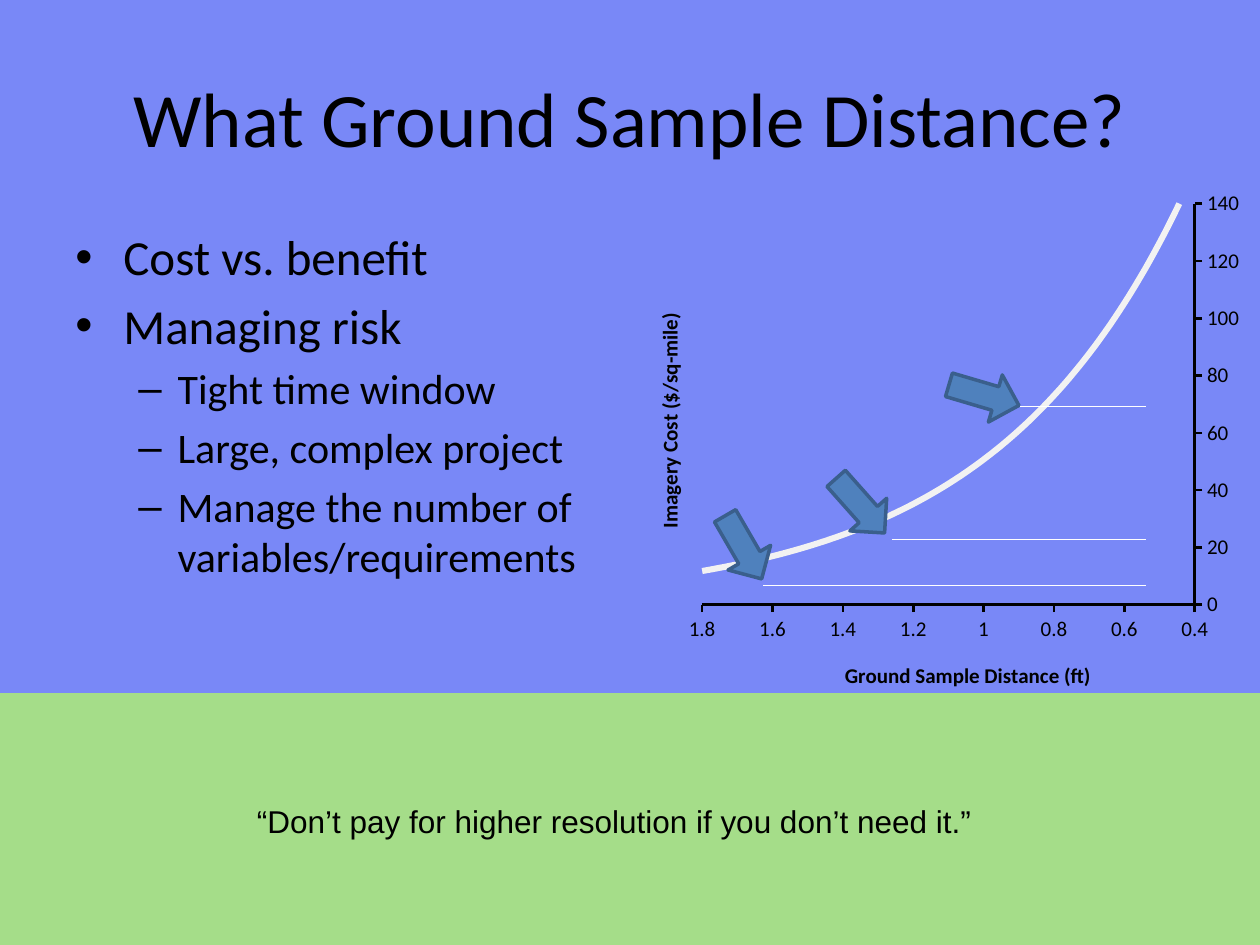
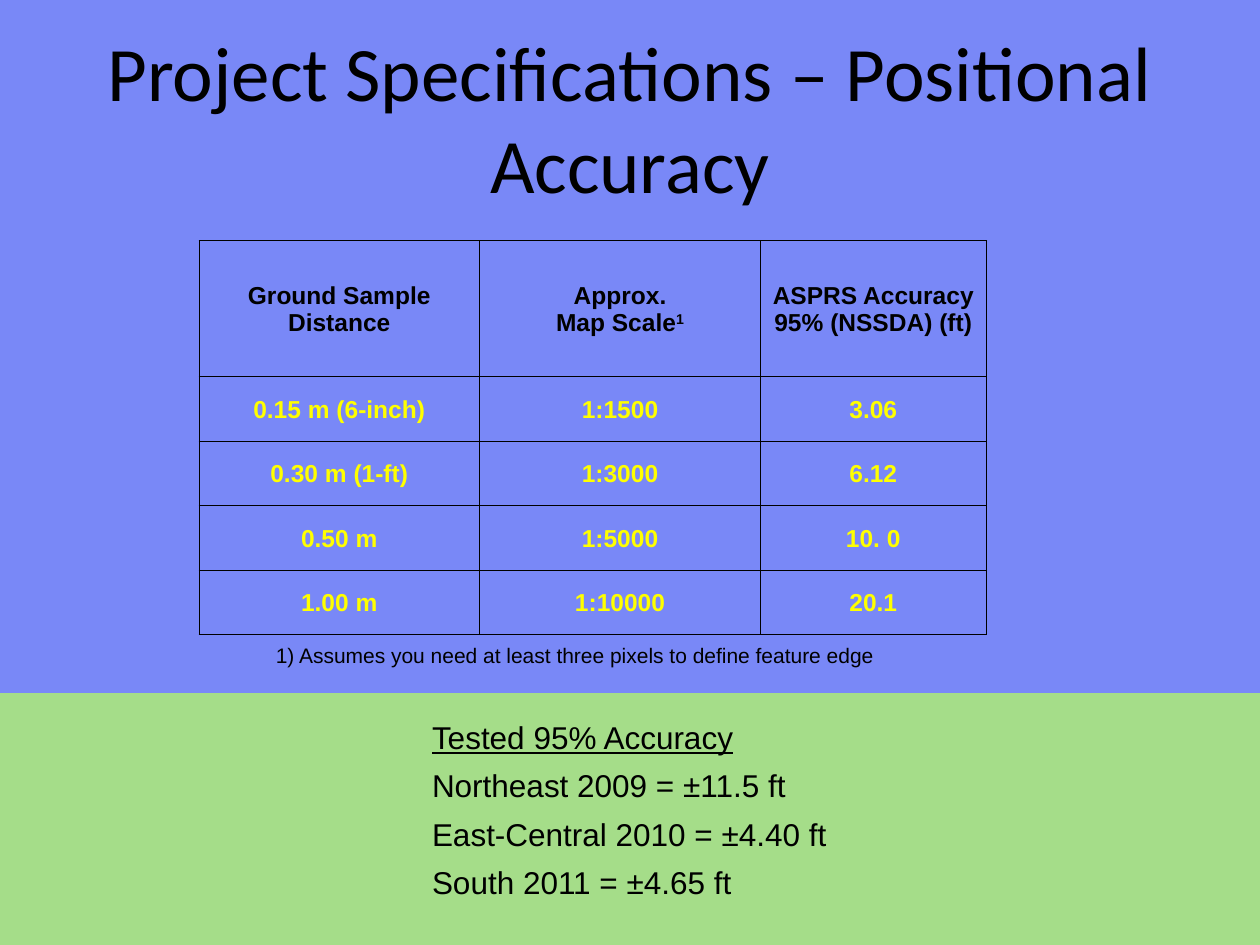
from lxml import etree
from pptx import Presentation
from pptx.chart.data import XyChartData
from pptx.dml.color import RGBColor
from pptx.enum.chart import XL_AXIS_CROSSES, XL_CHART_TYPE, XL_MARKER_STYLE, XL_TICK_MARK
from pptx.enum.shapes import MSO_CONNECTOR, MSO_SHAPE
from pptx.enum.text import MSO_ANCHOR, PP_ALIGN
from pptx.oxml import parse_xml
from pptx.oxml.ns import nsdecls, qn
from pptx.util import Cm, Pt

CENTER, LEFT = PP_ALIGN.CENTER, PP_ALIGN.LEFT
TOP, MIDDLE = MSO_ANCHOR.TOP, MSO_ANCHOR.MIDDLE
RECTANGLE, RIGHT_ARROW = MSO_SHAPE.RECTANGLE, MSO_SHAPE.RIGHT_ARROW
STRAIGHT = MSO_CONNECTOR.STRAIGHT
SCATTER, NO_MARKER = XL_CHART_TYPE.XY_SCATTER, XL_MARKER_STYLE.NONE
AXIS_MINIMUM = XL_AXIS_CROSSES.MINIMUM
TICK_OUTSIDE, TICK_NONE = XL_TICK_MARK.OUTSIDE, XL_TICK_MARK.NONE

BLACK = RGBColor(0x00, 0x00, 0x00)
WHITE = RGBColor(0xFF, 0xFF, 0xFF)
YELLOW = RGBColor(0xFF, 0xFF, 0x00)
SKY_BLUE = RGBColor(0x79, 0x88, 0xF7)
GRASS_GREEN = RGBColor(0xA5, 0xDD, 0x89)
ARROW_BLUE = RGBColor(0x4F, 0x81, 0xBD)
ARROW_EDGE = RGBColor(0x3A, 0x5F, 0x8C)
CURVE_GRAY = RGBColor(0xF2, 0xF2, 0xF2)
HEADING_FONT, PLAIN_FONT = "Calibri", "Arial"


def add_text(paragraph, text, *, size, font=PLAIN_FONT, color=BLACK, bold=False,
             underline=False, align=LEFT, superscript=False):
    paragraph.alignment = align
    for number, line in enumerate(text.split("\n")):
        if number:
            paragraph.add_line_break()
        run = paragraph.add_run()
        run.text = line
        run.font.size = Pt(size)
        run.font.name = font
        run.font.color.rgb = color
        run.font.bold = bold
        run.font.underline = underline
        if superscript:
            run._r.get_or_add_rPr().set("baseline", "30000")


def add_text_area(slide, left, top, width, height, anchor=TOP, wrap=True):
    frame = slide.shapes.add_textbox(Cm(left), Cm(top), Cm(width), Cm(height)).text_frame
    frame.word_wrap = wrap
    frame.vertical_anchor = anchor
    return frame


prs = Presentation()
prs.slide_width, prs.slide_height = Cm(25.4), Cm(19.05)

# Shared bands and titles
slides = []
for heading in ("What Ground Sample Distance?",
                "Project Specifications – Positional Accuracy"):
    slide = prs.slides.add_slide(prs.slide_layouts[6])
    for top, height, color in ((9.33, 9.72, GRASS_GREEN), (0, 13.97, SKY_BLUE)):
        band = slide.shapes.add_shape(RECTANGLE, 0, Cm(top), prs.slide_width, Cm(height))
        band.shadow.inherit = False
        band.fill.solid()
        band.fill.fore_color.rgb = color
        band.line.fill.background()
    title = add_text_area(slide, 1.27, 0.76, 22.86, 3.18, anchor=MIDDLE)
    add_text(title.paragraphs[0], heading, size=44, font=HEADING_FONT, align=CENTER)
    slides.append(slide)
distance_slide, accuracy_slide = slides

# Slide 1: considerations as a two-level list
considerations = [
    (0, "Cost vs. benefit"),
    (0, "Managing risk"),
    (1, "Tight time window"),
    (1, "Large, complex project"),
    (1, "Manage the number of variables/requirements"),
]
level_formats = [(28, "•", 0.97, -0.97), (24, "–", 2.06, -0.79)]
consideration_list = add_text_area(distance_slide, 1.27, 4.45, 11.23, 12.57)
for number, (level, consideration) in enumerate(considerations):
    size, bullet, margin, indent = level_formats[level]
    paragraph = consideration_list.add_paragraph() if number else consideration_list.paragraphs[0]
    properties = paragraph._p.get_or_add_pPr()
    properties.set("marL", str(Cm(margin)))
    properties.set("indent", str(Cm(indent)))
    etree.SubElement(properties, qn("a:buFont")).set("typeface", "Arial")
    etree.SubElement(properties, qn("a:buChar")).set("char", bullet)
    paragraph.level = level
    if number:
        paragraph.space_before = Pt(size * 0.2)
    add_text(paragraph, consideration, size=size, font=HEADING_FONT)

# Slide 1: quote
quote = add_text_area(distance_slide, 4.52, 16.05, 15.72, 1.02)
add_text(quote.paragraphs[0], "“Don’t pay for higher resolution if you don’t need it.”",
         size=18, align=CENTER)

# Slide 1: cost curve
cost_data = XyChartData()
cost_series = cost_data.add_series("Series 1")
for distance, cost in ((1.58, 18), (1, 48), (0.5, 130)):
    cost_series.add_data_point(distance, cost)
cost_chart = distance_slide.shapes.add_chart(
    SCATTER, Cm(12.5), Cm(3.68), Cm(12.73), Cm(10.64), cost_data).chart
cost_chart.has_legend = False
cost_chart.has_title = False
cost_chart.font.size = Pt(12)
cost_chart.font.name = HEADING_FONT
cost_chart.font.color.rgb = BLACK
cost_plot = cost_chart.plots[0]
cost_plot.vary_by_categories = False
cost_points = cost_plot.series[0]
cost_points.smooth = False
cost_points.marker.style = NO_MARKER
cost_points.format.line.fill.background()

# Exponential trend line, extended to both ends of the distance axis
trend = parse_xml(
    f'<c:trendline {nsdecls("c", "a")}><c:spPr><a:ln w="{Pt(3.5)}"><a:solidFill>'
    f'<a:srgbClr val="{CURVE_GRAY}"/></a:solidFill></a:ln></c:spPr>'
    '<c:trendlineType val="exp"/><c:forward val="0.22"/><c:backward val="0.1"/>'
    '<c:dispRSqr val="0"/><c:dispEq val="0"/></c:trendline>')
cost_points._element.find(qn("c:xVal")).addprevious(trend)

distance_axis, cost_axis = cost_chart.category_axis, cost_chart.value_axis
for axis, name, low, high, step in (
        (distance_axis, "Ground Sample Distance (ft)", 0.4, 1.8, 0.2),
        (cost_axis, "Imagery Cost ($/sq-mile)", 0, 140, 20)):
    axis.minimum_scale, axis.maximum_scale, axis.major_unit = low, high, step
    axis.has_major_gridlines = False
    axis.major_tick_mark, axis.minor_tick_mark = TICK_OUTSIDE, TICK_NONE
    axis.format.line.color.rgb = BLACK
    axis.format.line.width = Pt(1.5)
    add_text(axis.axis_title.text_frame.paragraphs[0], name, size=12,
             font=HEADING_FONT, bold=True, align=CENTER)
distance_axis.reverse_order = True
distance_axis.crosses = AXIS_MINIMUM
cost_rotation = cost_axis.axis_title.text_frame._txBody.find(qn("a:bodyPr"))
cost_rotation.set("rot", "-5400000")
cost_rotation.set("vert", "horz")

# Fixed places for the plot and the axis titles, as shares of the chart
plot_area = cost_chart._chartSpace.find(".//" + qn("c:plotArea"))
for part, position, settings in (
        (plot_area, 0, dict(layoutTarget="inner", xMode="edge", yMode="edge",
                            x=0.13, y=0.04, w=0.78, h=0.76)),
        (distance_axis.axis_title._element, 1, dict(xMode="edge", yMode="edge", x=0.35, y=0.9)),
        (cost_axis.axis_title._element, 1, dict(xMode="edge", yMode="edge", x=0.05, y=0.24))):
    for automatic in part.findall(qn("c:layout")):
        part.remove(automatic)
    entries = "".join(f'<c:{key} val="{value}"/>' for key, value in settings.items())
    part.insert(position, parse_xml(
        f'<c:layout {nsdecls("c")}><c:manualLayout>{entries}</c:manualLayout></c:layout>'))

# Slide 1: arrows to the curve and level lines
for left, top, angle in ((16.61, 9.7, 48.4), (14.25, 10.54, 59.9), (19.1, 7.47, 16.4)):
    arrow = distance_slide.shapes.add_shape(RIGHT_ARROW, Cm(left), Cm(top), Cm(1.47), Cm(0.99))
    arrow.shadow.inherit = False
    arrow.rotation = angle
    arrow.fill.solid()
    arrow.fill.fore_color.rgb = ARROW_BLUE
    arrow.line.color.rgb = ARROW_EDGE
    arrow.line.width = Pt(2)

for start, height in ((15.39, 11.81), (17.98, 10.87), (20.57, 8.2)):
    level_line = distance_slide.shapes.add_connector(
        STRAIGHT, Cm(start), Cm(height), Cm(23.11), Cm(height))
    level_line.line.color.rgb = WHITE
    level_line.line.width = Pt(0.75)
    etree.SubElement(level_line._element.spPr, qn("a:effectLst"))

# Slide 2: accuracy table
accuracy_rows = [
    ("Ground Sample Distance", "Approx.\nMap Scale", "ASPRS Accuracy 95% (NSSDA) (ft)"),
    ("0.15 m (6-inch)", "1:1500", "3.06"),
    ("0.30 m (1-ft)", "1:3000", "6.12"),
    ("0.50 m", "1:5000", "10. 0"),
    ("1.00 m", "1:10000", "20.1"),
]
column_widths = (5.66, 5.66, 4.55)
accuracy_table = accuracy_slide.shapes.add_table(
    len(accuracy_rows), len(column_widths), Cm(4.01), Cm(4.85), Cm(15.87), Cm(7.94)).table
accuracy_table.first_row = False
accuracy_table.horz_banding = False
for column, width in zip(accuracy_table.columns, column_widths):
    column.width = Cm(width)
for row_number, values in enumerate(accuracy_rows):
    accuracy_table.rows[row_number].height = Cm(1.3 if row_number else 2.74)
    for column_number, value in enumerate(values):
        cell = accuracy_table.cell(row_number, column_number)
        cell.vertical_anchor = MIDDLE
        cell.margin_left = cell.margin_right = cell.margin_top = Cm(0.03)
        cell.margin_bottom = 0
        cell_properties = cell._tc.get_or_add_tcPr()
        for edge in ("lnL", "lnR", "lnT", "lnB"):
            cell_properties.append(parse_xml(
                f'<a:{edge} {nsdecls("a")} w="{Pt(0.5)}"><a:solidFill>'
                f'<a:srgbClr val="{BLACK}"/></a:solidFill></a:{edge}>'))
        cell.fill.background()
        add_text(cell.text_frame.paragraphs[0], value, size=14, bold=True, align=CENTER,
                 color=YELLOW if row_number else BLACK)
add_text(accuracy_table.cell(0, 1).text_frame.paragraphs[0], "1", size=14, bold=True,
         align=CENTER, superscript=True)

# Slide 2: tested accuracy and footnote
tested = add_text_area(accuracy_slide, 8.46, 14.35, 8.71, 3.99, wrap=False)
for number, result in enumerate(("Tested 95% Accuracy", "Northeast 2009 = ±11.5 ft",
                                 "East-Central 2010 = ±4.40 ft", "South 2011 = ±4.65 ft")):
    paragraph = tested.add_paragraph() if number else tested.paragraphs[0]
    paragraph.space_after = Pt(6)
    add_text(paragraph, result, size=18, underline=number == 0)

footnote = add_text_area(accuracy_slide, 5.31, 12.83, 13, 0.76)
add_text(footnote.paragraphs[0],
         "1) Assumes you need at least three pixels to define feature edge", size=12)

prs.save("out.pptx")
